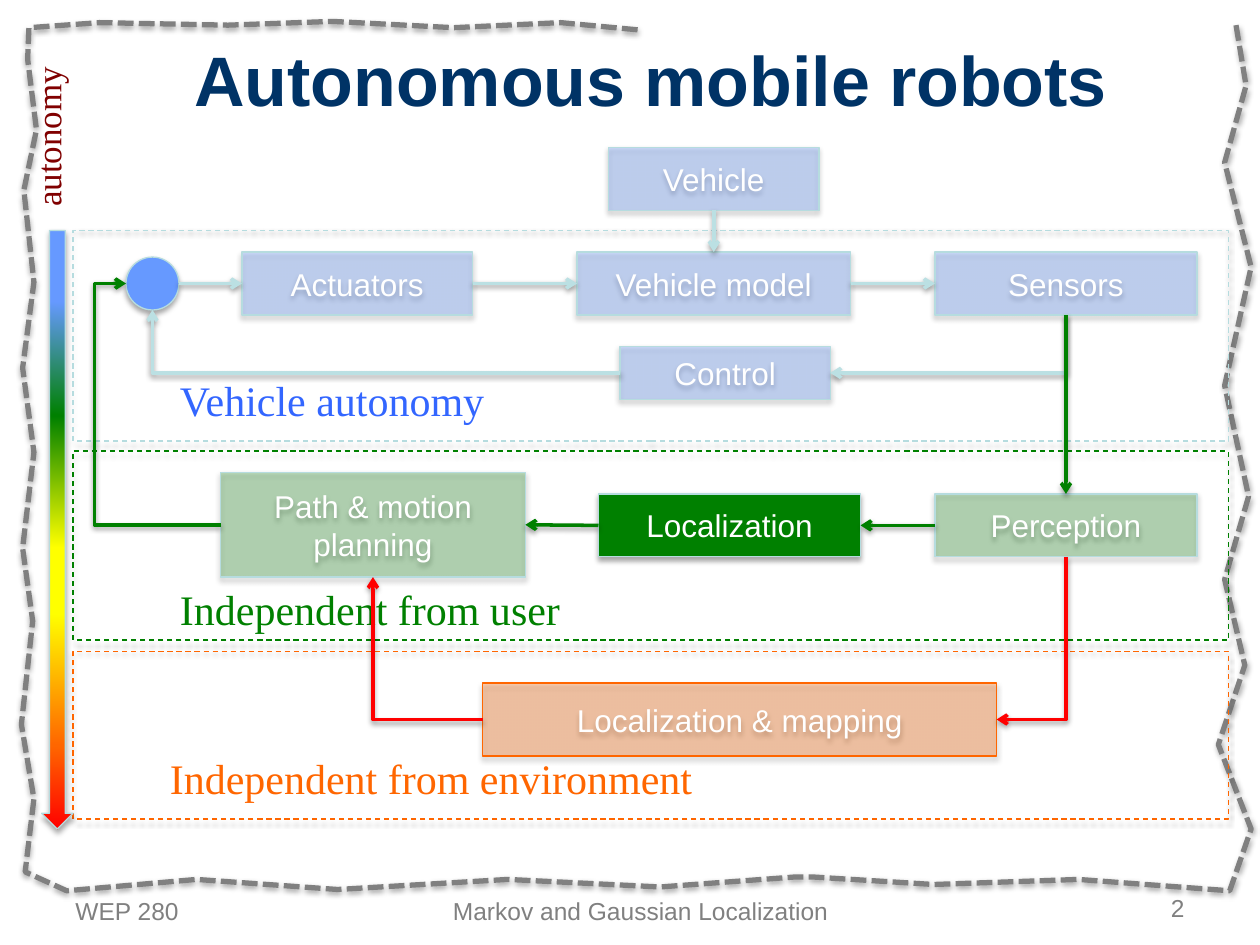
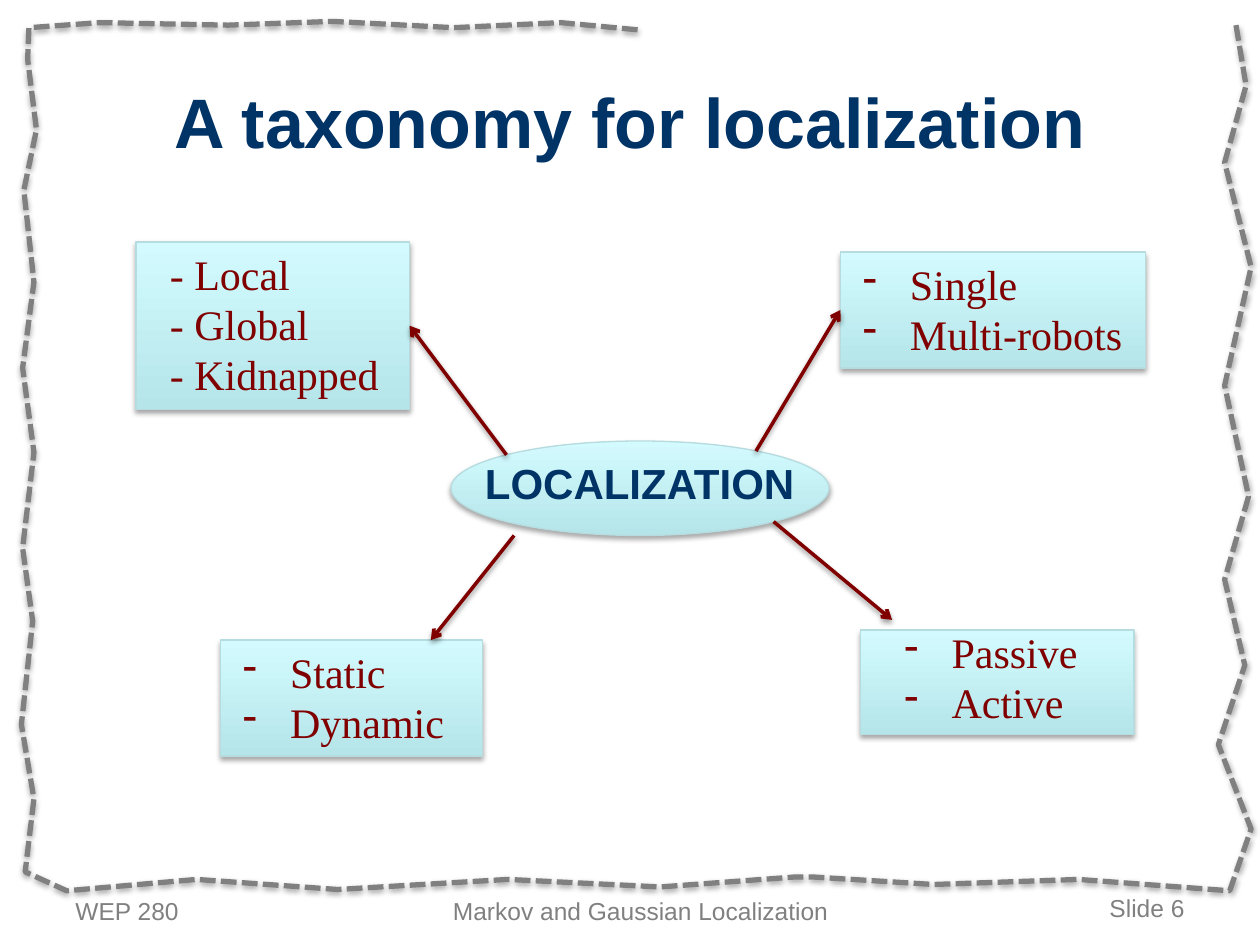
from dataclasses import dataclass

from lxml.etree import SubElement
from pptx import Presentation
from pptx.dml.color import RGBColor
from pptx.enum.dml import MSO_LINE
from pptx.enum.shapes import MSO_CONNECTOR, MSO_SHAPE
from pptx.enum.text import MSO_ANCHOR, MSO_AUTO_SIZE, PP_ALIGN
from pptx.oxml.ns import qn
from pptx.util import Cm, Pt


@dataclass(frozen=True)
class Theme:
    sans: str = "Arial"
    serif: str = "Times New Roman"
    navy: str = "003366"
    maroon: str = "800000"
    grey: str = "808080"
    white: str = "FFFFFF"
    blue: str = "6699FF"
    label_blue: str = "3366FF"
    green: str = "008000"
    orange: str = "FF6600"
    red: str = "FF0000"
    yellow: str = "FFFF00"
    outline: str = "B6DCDF"
    flow: str = "BBE0E3"
    ice: tuple = ((0, "B5E5E9"), (100, "D3FBFF"))
    title_size: int = 40
    label_size: int = 24
    axis_size: int = 20
    box_size: int = 18
    footer_size: int = 14


T = Theme()
TOP, LEFT, BOTTOM, RIGHT = range(4)

# Shared content: page border in hundredths of an inch, footers
BORDER = [
    (981, 20), (989, 68), (972, 129), (993, 212), (972, 306), (991, 394),
    (972, 460), (988, 528), (967, 591), (993, 658), (976, 707), (856, 698),
    (741, 702), (644, 696), (632, 696), (524, 704), (403, 698), (268, 706),
    (156, 698), (53, 707), (20, 692), (27, 634), (17, 575), (26, 493),
    (18, 435), (27, 359), (18, 292), (27, 224), (19, 151), (29, 103),
    (22, 47), (23, 22), (79, 18), (181, 20), (264, 17), (360, 22),
    (445, 18), (509, 24),
]
COURSE, TOPIC = "WEP 280", "Markov and Gaussian Localization"

# Robot architecture: places are left, top, width, height in inches
BANDS = [
    ((0.58, 1.83, 9.17, 1.67), T.outline),
    ((0.58, 3.58, 9.17, 1.5), T.green),
    ((0.58, 5.17, 9.17, 1.33), T.orange),
]
LEVELS = [
    ("Vehicle autonomy", (1.33, 2.92, 2.92, 0.51), T.label_blue, True),
    ("Independent from user", (1.33, 4.58, 3.33, 0.51), T.green, True),
    ("Independent from environment", (1.25, 5.92, 4.4, 0.51), T.orange, False),
]
MODULES = [  # text, place, fill, opacity in percent, outline
    ("Vehicle", (4.83, 1.17, 1.67, 0.5), T.blue, 31, T.outline),
    ("Actuators", (1.92, 2, 1.83, 0.5), T.blue, 31, T.outline),
    ("Vehicle model", (4.58, 2, 2.17, 0.5), T.blue, 31, T.outline),
    ("Sensors", (7.42, 2, 2.08, 0.5), T.blue, 31, T.outline),
    ("Control", (4.92, 2.75, 1.67, 0.42), T.blue, 31, T.outline),
    ("Path & motion planning", (1.75, 3.75, 2.42, 0.83), T.green, 25, T.outline),
    ("Localization", (4.75, 3.92, 2.08, 0.5), T.green, 100, T.outline),
    ("Perception", (7.42, 3.92, 2.08, 0.5), T.green, 25, T.outline),
    ("Localization & mapping", (3.83, 5.42, 4.08, 0.58), T.orange, 30, T.orange),
]
HUB = "hub"
ELBOWS = [
    ("Sensors", BOTTOM, "Control", RIGHT, T.flow),
    ("Control", LEFT, HUB, BOTTOM, T.flow),
    ("Path & motion planning", LEFT, HUB, LEFT, T.green),
    ("Perception", BOTTOM, "Localization & mapping", RIGHT, T.red),
    ("Localization & mapping", LEFT, "Path & motion planning", BOTTOM, T.red),
]
STRAIGHTS = [
    (HUB, RIGHT, "Actuators", LEFT, T.flow),
    ("Actuators", RIGHT, "Vehicle model", LEFT, T.flow),
    ("Vehicle model", RIGHT, "Sensors", LEFT, T.flow),
    ("Vehicle", BOTTOM, "Vehicle model", TOP, T.flow),
    ("Sensors", BOTTOM, "Perception", TOP, T.green),
    ("Perception", LEFT, "Localization", RIGHT, T.green),
    ("Localization", LEFT, "Path & motion planning", RIGHT, T.green),
]
AUTONOMY_SCALE = [(12, T.blue), (31, T.green), (53, T.yellow),
                  (64, T.yellow), (86, T.orange), (100, T.red)]

# Taxonomy: lines, bulleted, box, text place, arrow from, arrow to, joined side
BRANCHES = [
    (["- Local", "- Global", "- Kidnapped"], False, (1.08, 1.92, 2.17, 1.33),
     (1.25, 1.92, 1.88, 1.31), (4.02, 3.61), (3.25, 2.58), RIGHT),
    (["Single", "Multi-robots"], True, (6.67, 2, 2.42, 0.92),
     (6.75, 2, 2.26, 0.91), (6, 3.58), (6.67, 2.46), LEFT),
    (["Static", "Dynamic"], True, (1.75, 5.08, 2.08, 0.92),
     (1.83, 5.08, 1.8, 0.91), (4.08, 4.25), (3.42, 5.08), None),
    (["Passive", "Active"], True, (6.83, 5, 2.17, 0.83),
     (7.08, 4.92, 1.58, 0.91), (6.14, 4.14), (7.08, 4.92), None),
]


def inches(*values):
    return [Cm(value * 2.54) for value in values]


def rgb(colour):
    return RGBColor.from_string(colour)


def add_shadow(drawn, opacity=35, distance=1.8):
    effects = SubElement(drawn._element.spPr, qn("a:effectLst"))
    shadow = SubElement(effects, qn("a:outerShdw"), blurRad=str(Pt(3.1)),
                        dist=str(Pt(distance)), dir="5400000", rotWithShape="0")
    black = SubElement(shadow, qn("a:srgbClr"), val="000000")
    SubElement(black, qn("a:alpha"), val=str(opacity * 1000))


def style_line(drawn, colour, width, dash=None):
    drawn.line.color.rgb = rgb(colour)
    drawn.line.width = Pt(width)
    if dash:
        drawn.line.dash_style = dash


def fill_solid(shape, colour, opacity):
    shape.fill.solid()
    shape.fill.fore_color.rgb = rgb(colour)
    if opacity < 100:
        value = shape._element.spPr.find(qn("a:solidFill")).find(qn("a:srgbClr"))
        SubElement(value, qn("a:alpha"), val=str(opacity * 1000))


def fill_gradient(shape, stops, angle):
    shape.fill.gradient()
    shape.fill.gradient_angle = 360 - angle
    stop_list = shape._element.spPr.find(qn("a:gradFill")).find(qn("a:gsLst"))
    for old in list(stop_list):
        stop_list.remove(old)
    for position, colour in stops:
        stop = SubElement(stop_list, qn("a:gs"), pos=str(position * 1000))
        SubElement(stop, qn("a:srgbClr"), val=colour)


def add_figure(slide, kind, place, fill=None, opacity=100, gradient=None,
               angle=270, outline=T.outline, dash=None):
    shape = slide.shapes.add_shape(kind, *inches(*place))
    if gradient:
        fill_gradient(shape, gradient, angle)
    elif fill:
        fill_solid(shape, fill, opacity)
    else:
        shape.fill.background()
    style_line(shape, outline, 0.75, dash)
    add_shadow(shape)
    return shape


def write(shape, lines, size, colour, font=T.sans, bold=False, align=PP_ALIGN.LEFT,
          anchor=MSO_ANCHOR.TOP, wrap=True, bulleted=False):
    frame = shape.text_frame
    frame.word_wrap = wrap
    frame.vertical_anchor = anchor
    frame.text = "\n".join(lines)
    for paragraph in frame.paragraphs:
        paragraph.alignment = align
        if bulleted:
            properties = paragraph._p.get_or_add_pPr()
            hang = Cm(0.95)
            properties.set("marL", str(hang))
            properties.set("indent", str(-hang))
            SubElement(properties, qn("a:buChar"), char="-")
        paragraph.font.name = font
        paragraph.font.size = Pt(size)
        paragraph.font.bold = bold
        paragraph.font.color.rgb = rgb(colour)


def add_text(slide, place, lines, size, colour, grow=False, **style):
    box = slide.shapes.add_textbox(*inches(*place))
    write(box, lines, size, colour, **style)
    if grow:
        box.text_frame.auto_size = MSO_AUTO_SIZE.SHAPE_TO_FIT_TEXT
    return box


def side(shape, site):
    middle_x, middle_y = shape.left + shape.width // 2, shape.top + shape.height // 2
    return {TOP: (middle_x, shape.top), LEFT: (shape.left, middle_y),
            BOTTOM: (middle_x, shape.top + shape.height),
            RIGHT: (shape.left + shape.width, middle_y)}[site]


def finish_arrow(arrow, colour):
    style_line(arrow, colour, 2)
    SubElement(arrow.line._get_or_add_ln(), qn("a:tailEnd"), type="arrow")
    add_shadow(arrow, 38, 1.6)


def add_arrow(slide, start, end, colour):
    arrow = slide.shapes.add_connector(MSO_CONNECTOR.STRAIGHT, *start, *end)
    finish_arrow(arrow, colour)
    return arrow


def add_elbow(slide, start, end, colour, starts_down, loops_back):
    """Turn a right-then-down elbow so that it leaves downward or to the left."""
    (x1, y1), (x2, y2) = start, end
    width, height = abs(x2 - x1), abs(y2 - y1)
    if starts_down:
        width, height = height, width
    left, top = (x1 + x2 - width) // 2, (y1 + y2 - height) // 2
    elbow = slide.shapes.add_connector(MSO_CONNECTOR.ELBOW, left, top,
                                       left + width, top + height)
    properties = elbow._element.spPr
    properties.find(qn("a:xfrm")).set("rot", "5400000" if starts_down else "10800000")
    geometry = properties.find(qn("a:prstGeom"))
    if loops_back:
        adjustments = geometry.find(qn("a:avLst"))
        if adjustments is None:
            adjustments = SubElement(geometry, qn("a:avLst"))
        SubElement(adjustments, qn("a:gd"), name="adj1", fmla="val 133300")
    else:
        geometry.set("prst", "bentConnector2")
    finish_arrow(elbow, colour)


def add_page(deck, title, title_place, number):
    slide = deck.slides.add_slide(deck.slide_layouts[6])
    # Hand-drawn border
    outline = slide.shapes.build_freeform(*BORDER[0], scale=Cm(0.0254))
    outline.add_line_segments(BORDER[1:], close=False)
    border = outline.convert_to_shape()
    border.fill.background()
    style_line(border, T.grey, 3, MSO_LINE.SQUARE_DOT)
    add_shadow(border, 38, 1.6)
    # Title and footers
    add_text(slide, title_place, [title], T.title_size, T.navy, bold=True,
             align=PP_ALIGN.CENTER, anchor=MSO_ANCHOR.MIDDLE)
    for text, left, width, align, anchor in [
        (COURSE, 0.5, 2.33, PP_ALIGN.LEFT, MSO_ANCHOR.TOP),
        (TOPIC, 3.42, 3.33, PP_ALIGN.CENTER, MSO_ANCHOR.TOP),
        (number, 7.17, 2.33, PP_ALIGN.RIGHT, MSO_ANCHOR.MIDDLE),
    ]:
        add_text(slide, (left, 7.06, width, 0.29), [text], T.footer_size, T.grey,
                 align=align, anchor=anchor)
    return slide


def build_architecture(deck):
    slide = add_page(deck, "Autonomous mobile robots", (0.5, 0.33, 9.33, 0.58), "2")
    for place, colour in BANDS:
        add_figure(slide, MSO_SHAPE.RECTANGLE, place, outline=colour, dash=MSO_LINE.DASH)
    # Modules and hub
    parts = {}
    for text, place, fill, opacity, outline in MODULES:
        parts[text] = add_figure(slide, MSO_SHAPE.RECTANGLE, place, fill, opacity,
                                 outline=outline)
        write(parts[text], [text], T.box_size, T.white, align=PP_ALIGN.CENTER,
              anchor=MSO_ANCHOR.MIDDLE)
    parts[HUB] = add_figure(slide, MSO_SHAPE.OVAL, (1, 2.04, 0.42, 0.42), T.blue)
    # Autonomy scale and level names
    add_figure(slide, MSO_SHAPE.DOWN_ARROW, (0.33, 1.83, 0.25, 4.75),
               gradient=AUTONOMY_SCALE, angle=93)
    axis = add_text(slide, (-0.28, 0.86, 1.32, 0.44), ["autonomy"], T.axis_size,
                    T.maroon, font=T.serif, wrap=False, grow=True)
    axis.rotation = 270
    for text, place, colour, wrap in LEVELS:
        add_text(slide, place, [text], T.label_size, colour, font=T.serif,
                 wrap=wrap, grow=True)
    # Flow between modules
    for source, out, target, into, colour in ELBOWS:
        add_elbow(slide, side(parts[source], out), side(parts[target], into), colour,
                  starts_down=out == BOTTOM, loops_back=out == into)
    for source, out, target, into, colour in STRAIGHTS:
        arrow = add_arrow(slide, side(parts[source], out), side(parts[target], into), colour)
        if source != HUB:
            arrow.begin_connect(parts[source], out)
        arrow.end_connect(parts[target], into)


def build_taxonomy(deck):
    slide = add_page(deck, "A taxonomy for localization", (0.5, 0.33, 9, 1.25), "Slide 6")
    add_figure(slide, MSO_SHAPE.OVAL, (3.58, 3.5, 3, 0.75), gradient=T.ice)
    add_text(slide, (3.75, 3.58, 3.08, 0.5), ["LOCALIZATION"], T.label_size, T.navy,
             bold=True, grow=True)
    for lines, bulleted, place, text_place, start, end, joined in BRANCHES:
        branch = add_figure(slide, MSO_SHAPE.RECTANGLE, place, gradient=T.ice)
        add_text(slide, text_place, lines, T.label_size, T.maroon, font=T.serif,
                 wrap=False, bulleted=bulleted, grow=True)
        arrow = add_arrow(slide, inches(*start), inches(*end), T.maroon)
        if joined is not None:
            arrow.end_connect(branch, joined)


def main():
    deck = Presentation()
    deck.slide_width, deck.slide_height = Cm(25.4), Cm(19.05)
    build_architecture(deck)
    build_taxonomy(deck)
    deck.save("out.pptx")


if __name__ == "__main__":
    main()
